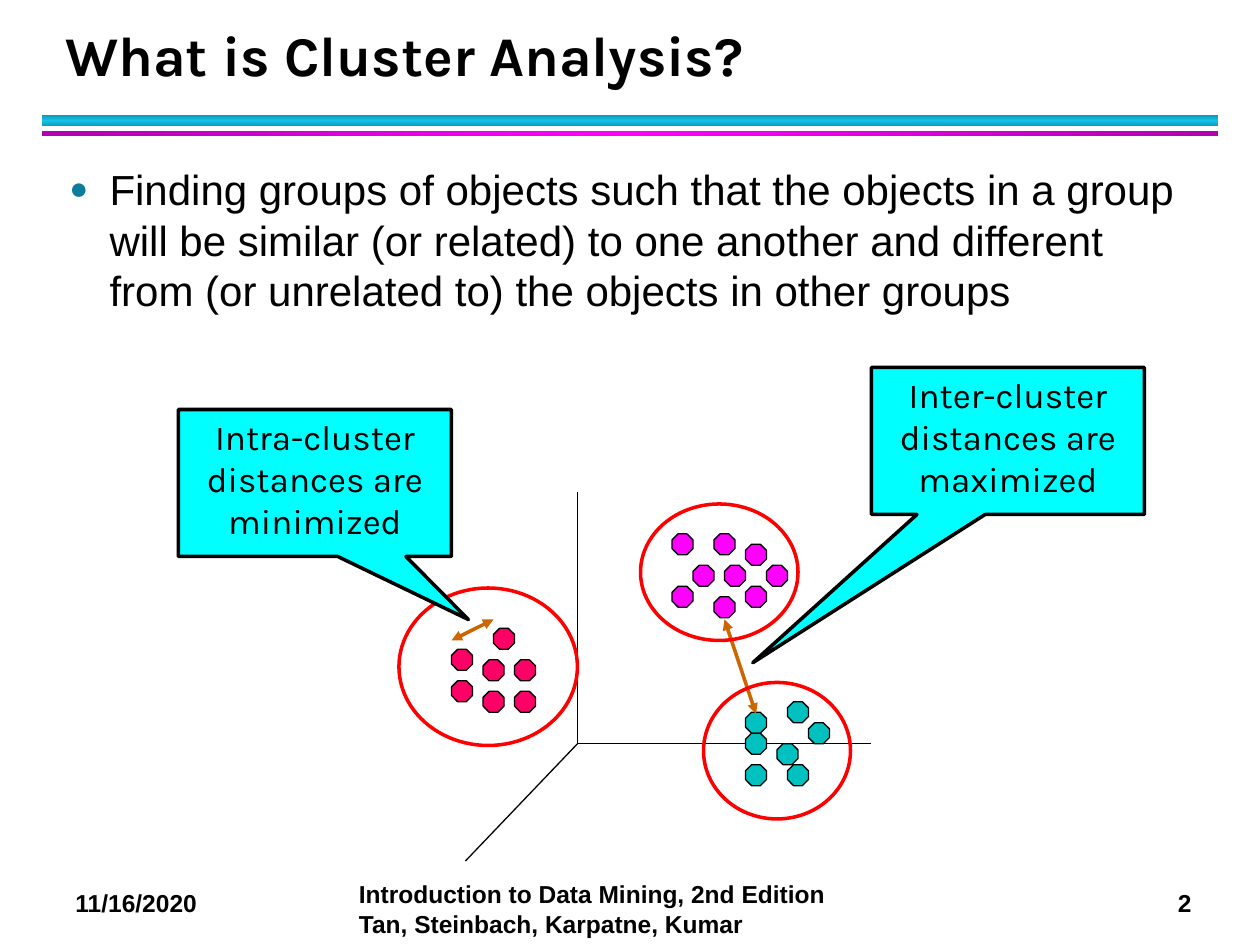
from copy import deepcopy

from lxml.etree import SubElement
from pptx import Presentation
from pptx.dml.color import RGBColor
from pptx.enum.shapes import MSO_CONNECTOR, MSO_SHAPE
from pptx.enum.text import MSO_ANCHOR, MSO_AUTO_SIZE, PP_ALIGN
from pptx.oxml.ns import qn
from pptx.util import Pt

COLORS = {
    "black": "000000", "cyan": "00FFFF", "red": "FF0000", "arrow": "CC6600",
    "bullet": "0C7B9C", "magenta": "FF00FF", "pink": "FF0066", "teal": "00C0C0",
    "blue edge": "0E9BBA", "blue middle": "12C2E9", "purple edge": "B200B2",
}
TITLE = "What is Cluster Analysis?"
DEFINITION = (
    "Finding groups of objects such that the objects in a group will be similar "
    "(or related) to one another and different from (or unrelated to) the objects "
    "in other groups"
)
FOOTERS = [
    ("11/16/2020", (36, 504, 96, 24.5), True),
    ("2", (666, 504, 32, 24.5), False),
    ("Introduction to Data Mining, 2nd Edition Tan, Steinbach, Karpatne, Kumar",
     (198, 499, 294, 41), True),
]
BANDS = [
    ((24, 66, 672, 6), ("blue edge", "blue middle", "blue edge"), 90),
    ((24, 75, 672, 3), ("purple edge", "magenta", "purple edge"), 0),
]
ORIGIN = (330, 425)
AXIS_ENDS = [(330, 281), (498, 425), (266, 492)]
DOT_SIZE = 12
CLUSTERS = [
    ("magenta", (366, 288, 90, 78),
     [(396, 323), (414, 323), (408, 305), (408, 341), (438, 323),
      (426, 311), (384, 305), (426, 335), (384, 335)]),
    ("pink", (228, 336, 102, 90),
     [(258, 371), (276, 377), (276, 395), (294, 377), (282, 359),
      (294, 395), (258, 389)]),
    ("teal", (402, 390, 84, 78),
     [(426, 407), (462, 413), (444, 425), (426, 437), (450, 437),
      (426, 419), (450, 401)]),
]
INTER = ("Inter-cluster distances are maximized", (498, 210, 156, 84),
         (-0.935, 1.509), ((432, 408), (414, 354)))
INTRA = ("Intra-cluster distances are minimized", (102, 234, 156, 84),
         (0.562, 0.929), ((258, 366), (282, 354)))


def color(name):
    return RGBColor.from_string(COLORS[name])


def points(values):
    return [Pt(value) for value in values]


def write(frame, text, size, font, bold=False, align=PP_ALIGN.LEFT, leading=1.2):
    para = frame.paragraphs[0]
    para.alignment = align
    para.line_spacing = Pt(size * leading)
    para.space_before = Pt(0)
    span = para.add_run()
    span.text = text
    span.font.size = Pt(size)
    span.font.name = font
    span.font.bold = bold
    span.font.color.rgb = color("black")
    return para


def place(holder, area, anchor):
    holder.left, holder.top, holder.width, holder.height = points(area)
    frame = holder.text_frame
    frame.auto_size = MSO_AUTO_SIZE.NONE
    frame.word_wrap = True
    frame.vertical_anchor = anchor
    return frame


def add_shape(page, kind, area, fill=None, outline=None, weight=0.75):
    shape = page.shapes.add_shape(kind, *points(area))
    shape.shadow.inherit = False
    if fill:
        shape.fill.solid()
        shape.fill.fore_color.rgb = color(fill)
    else:
        shape.fill.background()
    if outline:
        shape.line.color.rgb = color(outline)
        shape.line.width = Pt(weight)
    else:
        shape.line.fill.background()
    return shape


def add_band(page, area, names, angle):
    band = add_shape(page, MSO_SHAPE.RECTANGLE, area)
    band.fill.gradient()
    band.fill.gradient_angle = angle
    stop_list = band._element.spPr.find(qn("a:gradFill")).find(qn("a:gsLst"))
    stop_list.insert(1, deepcopy(stop_list[0]))
    for stop, name, position in zip(band.fill.gradient_stops, names, (0, 0.5, 1)):
        stop.color.rgb = color(name)
        stop.position = position


def add_line(page, start, end, name, weight, arrows=False):
    line = page.shapes.add_connector(MSO_CONNECTOR.STRAIGHT, *points(start + end))
    line.line.color.rgb = color(name)
    line.line.width = Pt(weight)
    if arrows:
        for tag in ("a:headEnd", "a:tailEnd"):
            SubElement(line.line._get_or_add_ln(), qn(tag), type="triangle")
    SubElement(line._element.spPr, qn("a:effectLst"))


def add_callout(page, text, area, pointer, arrow):
    add_line(page, *arrow, "arrow", 2, arrows=True)
    callout = add_shape(page, MSO_SHAPE.RECTANGULAR_CALLOUT, area, "cyan", "black", 2)
    for index, value in enumerate(pointer):
        callout.adjustments[index] = value
    frame = callout.text_frame
    frame.word_wrap = True
    frame.vertical_anchor = MSO_ANCHOR.TOP
    write(frame, text, 20, "Karla", align=PP_ALIGN.CENTER)


def add_heading(page):
    frame = place(page.shapes.title, (30, 12, 652, 42), MSO_ANCHOR.BOTTOM)
    write(frame, TITLE, 32, "Karla", bold=True, leading=1.125)


def add_definition(page):
    frame = place(page.placeholders[1], (32.4, 90, 655, 102), MSO_ANCHOR.TOP)
    para = write(frame, DEFINITION, 24, "Arial")
    para.space_before = Pt(2.4)
    para.space_after = Pt(4)
    properties = para._p.get_or_add_pPr()
    properties.set("marL", str(Pt(23)))
    properties.set("indent", str(-Pt(23)))
    bullet_color = SubElement(properties, qn("a:buClr"))
    SubElement(bullet_color, qn("a:srgbClr"), val=COLORS["bullet"])
    SubElement(properties, qn("a:buSzPct"), val="75000")
    SubElement(properties, qn("a:buFont"), typeface="Arial")
    SubElement(properties, qn("a:buChar"), char="●")


def main():
    deck = Presentation()
    deck.slide_width, deck.slide_height = Pt(720), Pt(540)
    page = deck.slides.add_slide(deck.slide_layouts[1])

    for band in BANDS:
        add_band(page, *band)
    for text, area, wrap in FOOTERS:
        box = page.shapes.add_textbox(*points(area))
        box.text_frame.word_wrap = wrap
        write(box.text_frame, text, 14, "Arial", bold=True)
    add_heading(page)
    add_definition(page)

    for end in AXIS_ENDS:
        add_line(page, ORIGIN, end, "black", 0.75)
    for name, ring, dots in CLUSTERS:
        for left, top in dots:
            dot = add_shape(page, MSO_SHAPE.OCTAGON,
                            (left, top, DOT_SIZE, DOT_SIZE), name, "black")
            dot.adjustments[0] = 0.293
    add_callout(page, *INTER)
    for name, ring, dots in CLUSTERS:
        add_shape(page, MSO_SHAPE.OVAL, ring, outline="red", weight=2)
    add_callout(page, *INTRA)
    deck.save("out.pptx")


if __name__ == "__main__":
    main()
